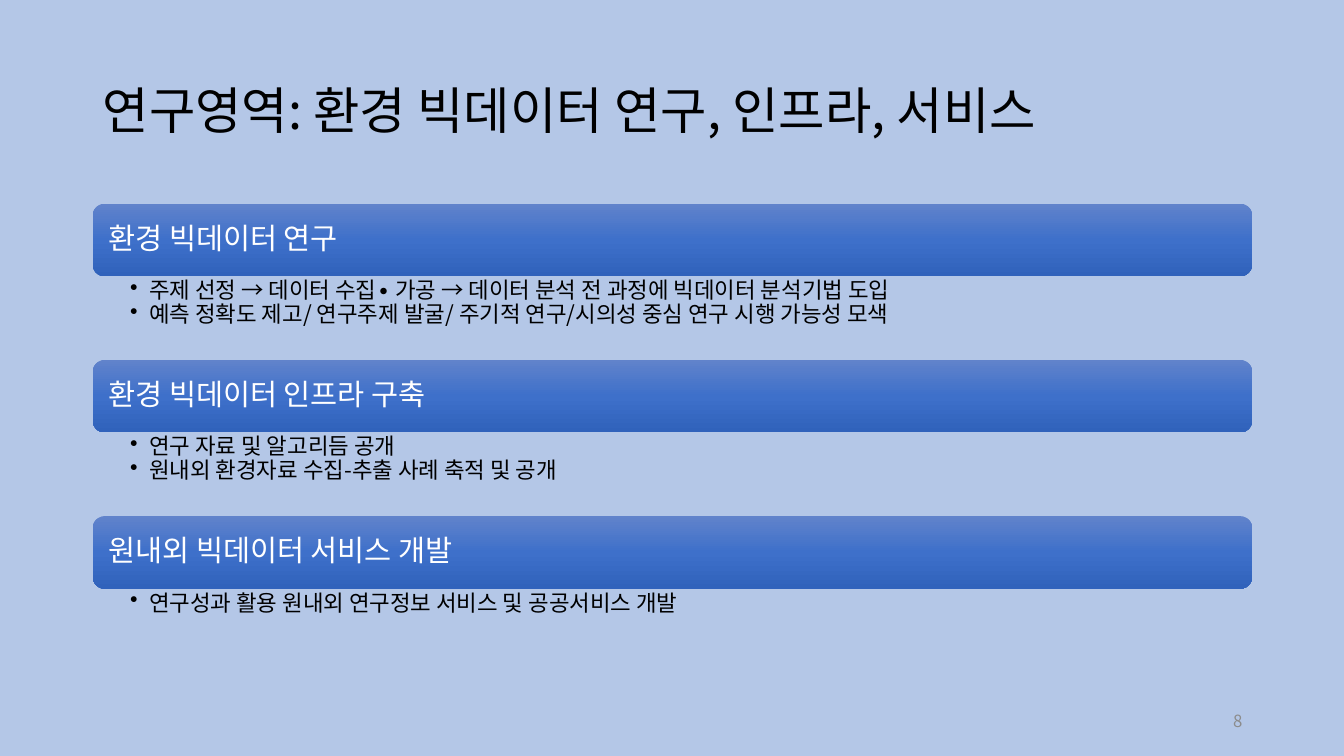
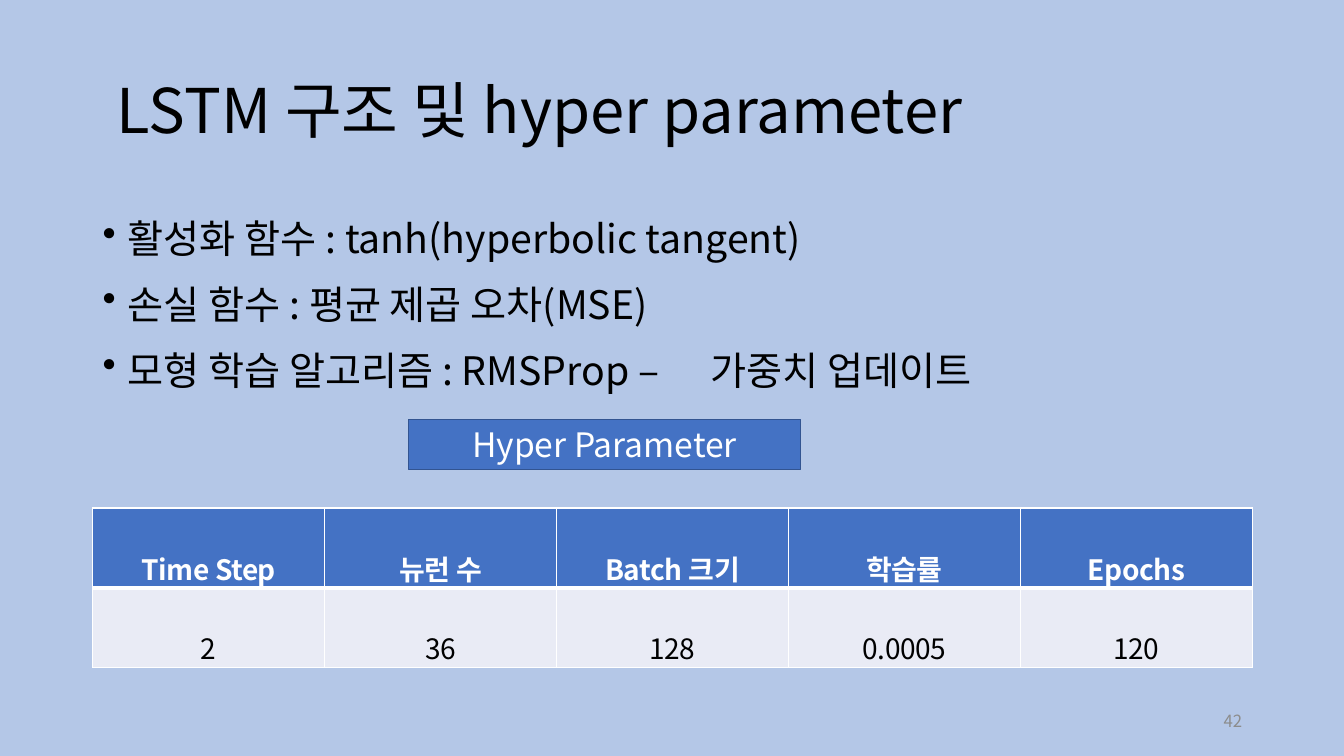
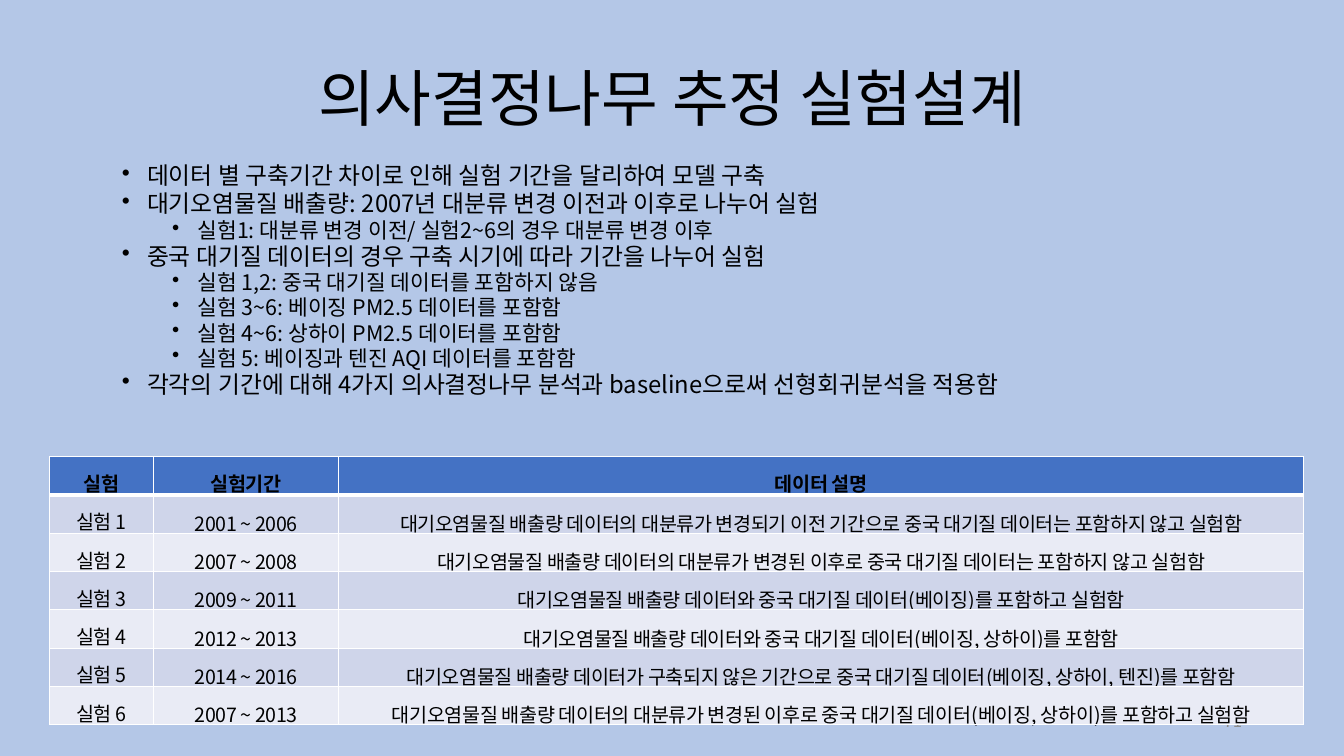
"""Three slides on environmental big data: research areas, LSTM setup, tree experiments."""
from lxml import etree
from pptx import Presentation
from pptx.dml.color import RGBColor
from pptx.enum.shapes import MSO_SHAPE
from pptx.enum.text import MSO_ANCHOR, MSO_AUTO_SIZE, PP_ALIGN
from pptx.oxml.ns import qn
from pptx.util import Inches, Pt

RECT, ROUND = MSO_SHAPE.RECTANGLE, MSO_SHAPE.ROUNDED_RECTANGLE
TOP, MID = MSO_ANCHOR.TOP, MSO_ANCHOR.MIDDLE
LEFT, MIDDLE, RIGHT = PP_ALIGN.LEFT, PP_ALIGN.CENTER, PP_ALIGN.RIGHT
GROW = MSO_AUTO_SIZE.SHAPE_TO_FIT_TEXT

FONT = "Noto Sans CJK KR"
COLORS = {
    "back": "B4C7E7", "ink": "000000", "white": "FFFFFF", "grey": "8C8C8C",
    "blue": "4472C4", "edge": "325491", "pale": "E9EBF5", "band": "CFD5EA",
}
SHADES = [(0, "6183CB"), (50, "3E70CA"), (100, "3062BB")]
EDGE, WIDE = 0.92, 11.5
PAD = (0.1, 0.05, 0.1, 0.05)
BODY = (0.1, 0.08, 0.1, 0.08)

AREAS = [
    ("환경 빅데이터 연구", [
        "주제 선정 → 데이터 수집∙ 가공 → 데이터 분석 전 과정에 빅데이터 분석기법 도입",
        "예측 정확도 제고/ 연구주제 발굴/ 주기적 연구/시의성 중심 연구 시행 가능성 모색"]),
    ("환경 빅데이터 인프라 구축", [
        "연구 자료 및 알고리듬 공개",
        "원내외 환경자료 수집-추출 사례 축적 및 공개"]),
    ("원내외 빅데이터 서비스 개발", [
        "연구성과 활용 원내외 연구정보 서비스 및 공공서비스 개발"]),
]
MODEL = [
    "활성화 함수 : tanh(hyperbolic tangent)",
    "손실 함수 : 평균 제곱 오차(MSE)",
    "모형 학습 알고리즘 : RMSProp –\t가중치 업데이트",
]
HYPER = [
    ["Time Step", "뉴런 수", "Batch 크기", "학습률", "Epochs"],
    ["2", "36", "128", "0.0005", "120"],
]
DESIGN = [
    (1, "데이터 별 구축기간 차이로 인해 실험 기간을 달리하여 모델 구축"),
    (1, "대기오염물질 배출량: 2007년 대분류 변경 이전과 이후로 나누어 실험"),
    (2, "실험1: 대분류 변경 이전/ 실험2~6의 경우 대분류 변경 이후"),
    (1, "중국 대기질 데이터의 경우 구축 시기에 따라 기간을 나누어 실험"),
    (2, "실험 1,2: 중국 대기질 데이터를 포함하지 않음"),
    (2, "실험 3~6: 베이징 PM2.5 데이터를 포함함"),
    (2, "실험 4~6: 상하이 PM2.5 데이터를 포함함"),
    (2, "실험 5: 베이징과 텐진 AQI 데이터를 포함함"),
    (1, "각각의 기간에 대해 4가지 의사결정나무 분석과 baseline으로써 선형회귀분석을 적용함"),
]
TRIALS = [
    ["실험", "실험기간", "데이터 설명"],
    ["실험 1", "2001 ~ 2006", "대기오염물질 배출량 데이터의 대분류가 변경되기 이전 기간으로 중국 대기질 데이터는 포함하지 않고 실험함"],
    ["실험 2", "2007 ~ 2008", "대기오염물질 배출량 데이터의 대분류가 변경된 이후로 중국 대기질 데이터는 포함하지 않고 실험함"],
    ["실험 3", "2009 ~ 2011", "대기오염물질 배출량 데이터와 중국 대기질 데이터(베이징)를 포함하고 실험함"],
    ["실험 4", "2012 ~ 2013", "대기오염물질 배출량 데이터와 중국 대기질 데이터(베이징, 상하이)를 포함함"],
    ["실험 5", "2014 ~ 2016", "대기오염물질 배출량 데이터가 구축되지 않은 기간으로 중국 대기질 데이터(베이징, 상하이, 텐진)를 포함함"],
    ["실험 6", "2007 ~ 2013", "대기오염물질 배출량 데이터의 대분류가 변경된 이후로 중국 대기질 데이터(베이징, 상하이)를 포함하고 실험함"],
]


def rgb(name):
    return RGBColor.from_string(COLORS[name])


def sub(node, tag, **attrs):
    return etree.SubElement(node, qn(tag), {k: str(v) for k, v in attrs.items()})


def write(par, text, size, color="ink", align=LEFT, lines=1.0, bold=False, tight=False):
    par.alignment, par.line_spacing = align, lines
    run = par.add_run()
    run.text = text
    font = run.font
    font.size, font.bold, font.name = Pt(size), bold, FONT
    font.color.rgb = rgb(color)
    props = run._r.get_or_add_rPr()
    sub(props, "a:ea", typeface=FONT)
    if tight:
        props.set("spc", "-30")


def bullet(par, left, hang, stop=None):
    props = par._p.get_or_add_pPr()
    props.set("marL", str(Inches(left)))
    props.set("indent", str(-Inches(hang)))
    sub(props, "a:buChar", char="•")
    if stop:
        sub(sub(props, "a:tabLst"), "a:tab", pos=Inches(stop), algn="l")


def frame(shape, pad=PAD, anchor=TOP):
    body = shape.text_frame
    body.word_wrap, body.vertical_anchor = True, anchor
    body.margin_left, body.margin_top, body.margin_right, body.margin_bottom = map(Inches, pad)
    return body


def box(slide, at, pad=PAD, anchor=TOP):
    return frame(slide.shapes.add_textbox(*map(Inches, at)), pad, anchor)


def block(slide, kind, at, pad=PAD):
    shape = slide.shapes.add_shape(kind, *map(Inches, at))
    shape.shadow.inherit = False
    shape.fill.solid()
    shape.fill.fore_color.rgb = rgb("blue")
    shape.line.fill.background()
    return shape, frame(shape, pad, MID)


def shade(shape):
    old = shape._element.spPr.find(qn("a:solidFill"))
    grad = etree.Element(qn("a:gradFill"), rotWithShape="1")
    stops = sub(grad, "a:gsLst")
    for pos, color in SHADES:
        sub(sub(stops, "a:gs", pos=pos * 1000), "a:srgbClr", val=color)
    sub(grad, "a:lin", ang=5400000, scaled=0)
    old.getparent().replace(old, grad)


def items(body, rows, lines, before, stop=None):
    for i, (text, size, left, hang) in enumerate(rows):
        par = body.paragraphs[0] if i == 0 else body.add_paragraph()
        bullet(par, left, hang, stop if "\t" in text else None)
        par.space_before = Pt(before if i else 0)
        write(par, text, size, lines=lines)


def rule(cell, row):
    props = cell._tc.get_or_add_tcPr()
    widths = (1, 1, 3 if row == 1 else 1, 3 if row == 0 else 1)
    for i, (side, width) in enumerate(zip("LRTB", widths)):
        line = etree.Element(qn("a:ln" + side), w=str(Pt(width)))
        sub(sub(line, "a:solidFill"), "a:srgbClr", val=COLORS["white"])
        props.insert(i, line)


def table(slide, rows, at, cols, tall, pad, size, head, fills, lead):
    grid = slide.shapes.add_table(len(rows), len(cols), *map(Inches, at)).table
    grid.horz_banding = False
    for col, width in zip(grid.columns, cols):
        col.width = Inches(width)
    for r, row in enumerate(rows):
        grid.rows[r].height = Inches(tall)
        for c, text in enumerate(row):
            cell = grid.cell(r, c)
            cell.fill.solid()
            cell.fill.fore_color.rgb = rgb(fills[(r - 1) % len(fills)] if r else "blue")
            cell.vertical_anchor = MID
            cell.margin_left = cell.margin_right = Inches(pad[0])
            cell.margin_top = cell.margin_bottom = Inches(pad[1])
            rule(cell, r)
            write(cell.text_frame.paragraphs[0], text, size, "ink" if r else head, MIDDLE,
                  lead[1] if r and c else lead[0], r == 0, True)


def start(deck, page):
    slide = deck.slides.add_slide(deck.slide_layouts[6])
    foot = box(slide, (9.42, 6.95, 3, 0.4), anchor=MID)
    write(foot.paragraphs[0], str(page), 12, "grey", RIGHT)
    return slide


def title(slide, text, size, inset=0.1):
    body = box(slide, (EDGE, 0.4, WIDE, 1.45), (inset, 0.05, 0.1, 0.05), MID)
    write(body.paragraphs[0], text, size, lines=0.9)


def areas(deck):
    slide = start(deck, 8)
    title(slide, "연구영역: 환경 빅데이터 연구, 인프라, 서비스", 36)
    first, step, tall = 2.02, 1.55, 0.72
    for i, (name, notes) in enumerate(AREAS):
        top = first + i * step
        bar, body = block(slide, ROUND, (EDGE, top, WIDE, tall), (0.12, 0.09, 0.12, 0.09))
        shade(bar)
        write(body.paragraphs[0], name, 21, "white", lines=0.9)
        list_box = box(slide, (EDGE, top + tall, WIDE, 0.42 * len(notes)), (0.37, 0.03, 0.16, 0.03))
        items(list_box, [(note, 16, 0.19, 0.19) for note in notes], 0.9, 0)


def model(deck):
    slide = start(deck, 42)
    title(slide, "LSTM 구조 및 hyper parameter", 44, 0.24)
    body = box(slide, (EDGE, 2, WIDE, 2.16), BODY)
    items(body, [(text, 28, 0.25, 0.25) for text in MODEL], 1.1, 10, 6.03)
    table(slide, HYPER, (EDGE, 5.04, WIDE, 1.58), [WIDE / 5] * 5, 0.79, (0.13, 0.03),
          20, "white", ["pale"], (1.9, 1.9))
    label, body = block(slide, RECT, (4.05, 4.16, 3.89, 0.5))
    label.line.color.rgb, label.line.width = rgb("edge"), Pt(1)
    write(body.paragraphs[0], "Hyper Parameter", 24, "white", MIDDLE)


def trials(deck):
    slide = start(deck, 71)
    head = box(slide, (2.65, 0.18, 8.04, 1.07))
    head.word_wrap, head.auto_size = False, GROW
    write(head.paragraphs[0], "의사결정나무 추정 실험설계", 44, align=MIDDLE, lines=1.5)
    table(slide, TRIALS, (0.49, 4.53, 12.44, 2.66), (1.03, 1.84, 9.57), 0.38, (0.07, 0.02),
          14, "ink", ["band", "pale"], (1.35, 1.4))
    body = box(slide, (0.61, 1.55, 12.11, 2.94), BODY)
    sizes = {1: 17, 2: 15.3}
    items(body, [(text, sizes[lvl], 0.25 + lvl / 2, 0.25) for lvl, text in DESIGN], 0.9, 1.4)


def main():
    deck = Presentation()
    deck.slide_width, deck.slide_height = Inches(13.33), Inches(7.5)
    back = deck.slide_master.background.fill
    back.solid()
    back.fore_color.rgb = rgb("back")
    for build in (areas, model, trials):
        build(deck)
    deck.save("out.pptx")


if __name__ == "__main__":
    main()
